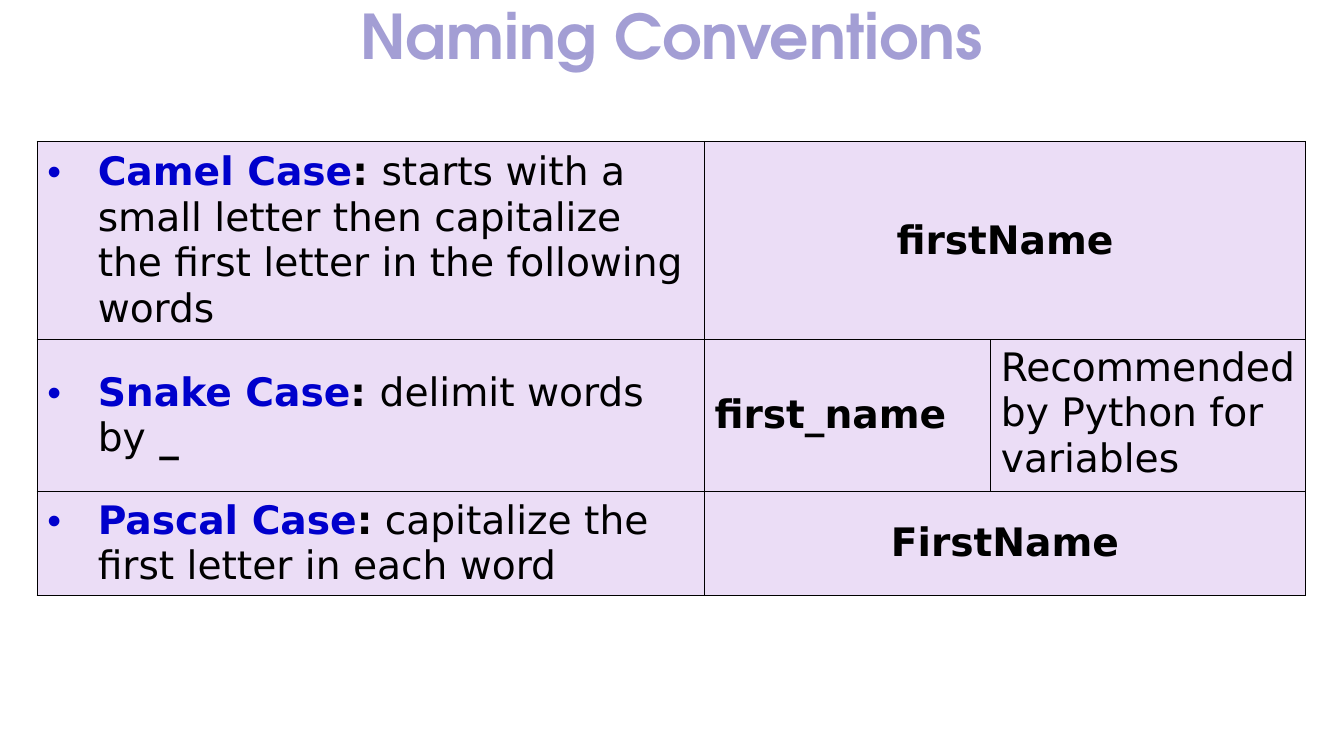
import pptx
import pptx.dml.color
import pptx.enum.text
import pptx.oxml
import pptx.oxml.ns
import pptx.util
from pptx.util import Pt

# Content: (convention, description runs as (text, bold), example, note)
TITLE = "Naming Conventions"
CONVENTIONS = [
    ("Camel Case", [(": ", True), ("starts with a small letter then capitalize "
                                   "the first letter in the following words", False)],
     "firstName", None),
    ("Snake Case", [(": ", True), ("delimit words by", False), (" _", True)],
     "first_name", "Recommended by Python for variables"),
    ("Pascal Case", [(":", True), (" capitalize the first letter in each word", False)],
     "FirstName", None),
]

# Layout and style
SLIDE_W, SLIDE_H = 960, 540
TITLE_H = 57
TABLE_X, TABLE_Y = 26.64, 101
COL_WIDTHS = [476.64, 204.5, 224.64]
ROW_HEIGHTS = [137, 105, 72]
BULLET_INDENT = 36
BODY_FONT, TITLE_FONT = "DejaVu Sans", "TeX Gyre Adventor"
BLACK, BLUE, LILAC, VIOLET = "000000", "0000CC", "EBDDF6", "A39ED4"
ALIGN = pptx.enum.text.PP_ALIGN
ANCHOR = pptx.enum.text.MSO_ANCHOR


def rgb(value):
    return pptx.dml.color.RGBColor.from_string(value)


def add_run(p, text, bold, color=BLACK, size=28, font=BODY_FONT):
    r = p.add_run()
    r.text = text
    r.font.name, r.font.size, r.font.bold = font, Pt(size), bold
    r.font.color.rgb = rgb(color)


def add_xml(parent, index, xml):
    ns = pptx.oxml.ns.nsdecls("a")
    parent.insert(index, pptx.oxml.parse_xml(xml.replace("@ns", ns)))


def add_bullet(p):
    pPr = p._p.get_or_add_pPr()
    pPr.set("marL", str(Pt(BULLET_INDENT)))
    pPr.set("indent", str(-Pt(BULLET_INDENT)))
    for i, xml in enumerate([
        f'<a:buClr @ns><a:srgbClr val="{BLUE}"/></a:buClr>',
        '<a:buFont @ns typeface="Arial"/>',
        '<a:buChar @ns char="•"/>',
    ]):
        add_xml(pPr, i, xml)


def style_cell(cell):
    cell.fill.solid()
    cell.fill.fore_color.rgb = rgb(LILAC)
    cell.vertical_anchor = ANCHOR.MIDDLE
    tcPr = cell._tc.get_or_add_tcPr()
    for i, side in enumerate("LRTB"):
        add_xml(tcPr, i, f'<a:ln{side} @ns w="{Pt(1)}"><a:solidFill>'
                         f'<a:srgbClr val="{BLACK}"/></a:solidFill></a:ln{side}>')


prs = pptx.Presentation()
prs.slide_width, prs.slide_height = Pt(SLIDE_W), Pt(SLIDE_H)
s = prs.slides.add_slide(prs.slide_layouts[6])

# Title
tf = s.shapes.add_textbox(0, 0, Pt(SLIDE_W), Pt(TITLE_H)).text_frame
tf.word_wrap = True
tf.vertical_anchor = ANCHOR.MIDDLE
p = tf.paragraphs[0]
p.alignment, p.line_spacing = ALIGN.CENTER, 0.9
add_run(p, TITLE, True, VIOLET, 44, TITLE_FONT)

# Table grid
table = s.shapes.add_table(len(ROW_HEIGHTS), len(COL_WIDTHS), Pt(TABLE_X), Pt(TABLE_Y),
                           Pt(sum(COL_WIDTHS)), Pt(sum(ROW_HEIGHTS))).table
table.first_row = table.horz_banding = False
for column, width in zip(table.columns, COL_WIDTHS):
    column.width = Pt(width)
for row, height in zip(table.rows, ROW_HEIGHTS):
    row.height = Pt(height)
for cell in table.iter_cells():
    style_cell(cell)

# Table text
for i, (name, description, example, note) in enumerate(CONVENTIONS):
    rule_cell, example_cell, note_cell = (table.cell(i, j) for j in range(3))
    p = rule_cell.text_frame.paragraphs[0]
    add_bullet(p)
    add_run(p, name, True, BLUE)
    for text, bold in description:
        add_run(p, text, bold)

    p = example_cell.text_frame.paragraphs[0]
    add_run(p, example, True)
    if note:
        note_cell.vertical_anchor = ANCHOR.TOP
        add_run(note_cell.text_frame.paragraphs[0], note, False)
    else:
        example_cell.merge(note_cell)
        p.alignment = ALIGN.CENTER

prs.save("out.pptx")
